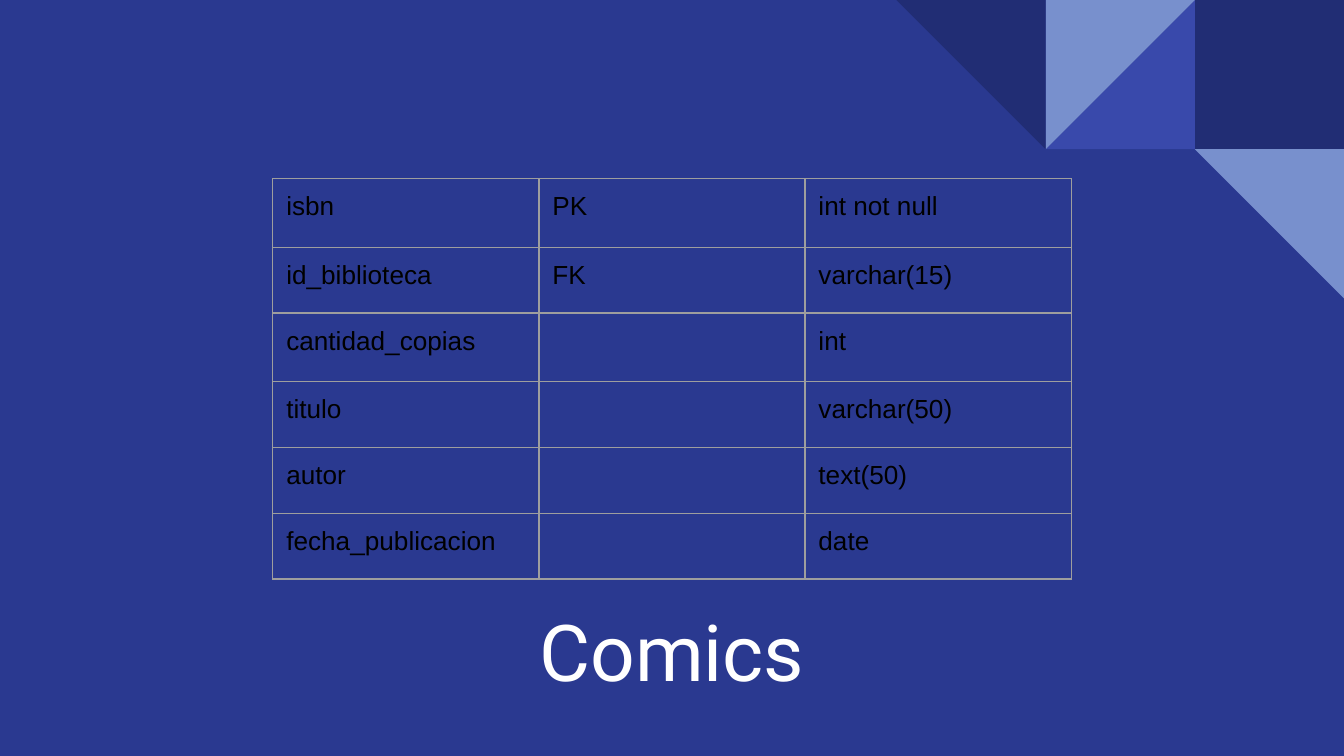
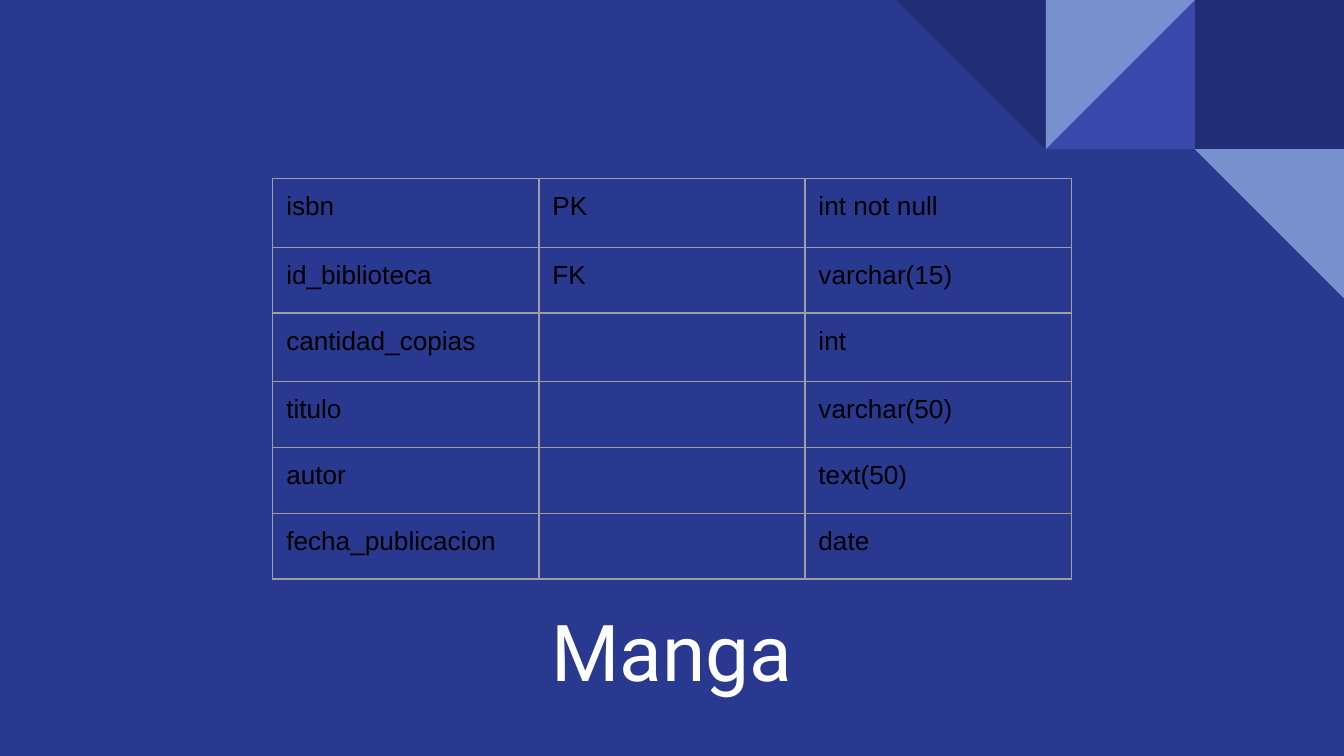
from lxml import etree
from pptx import Presentation
from pptx.dml.color import RGBColor
from pptx.enum.shapes import MSO_SHAPE
from pptx.enum.text import MSO_ANCHOR, PP_ALIGN
from pptx.oxml.ns import qn
from pptx.util import Inches, Pt

RECT, TRIANGLE = MSO_SHAPE.RECTANGLE, MSO_SHAPE.RIGHT_TRIANGLE
CENTER, MIDDLE = PP_ALIGN.CENTER, MSO_ANCHOR.MIDDLE

# Content
BOOK_FIELDS = [
    ("isbn", "PK", "int not null"),
    ("id_biblioteca", "FK", "varchar(15)"),
    ("cantidad_copias", "", "int"),
    ("titulo", "", "varchar(50)"),
    ("autor", "", "text(50)"),
    ("fecha_publicacion", "", "date"),
]
SLIDES = [("Comics", BOOK_FIELDS), ("Manga", BOOK_FIELDS)]

# Shared style
SLIDE_WIDTH = Inches(10)
SLIDE_HEIGHT = SLIDE_WIDTH * 9 // 16
BACKGROUND, NAVY, INDIGO, SKY = "2A3990", "212D74", "3949AB", "7890CD"
BORDER = "9E9E9E"
TITLE_FONT = {"name": "Roboto", "size": Pt(42), "color": "FFFFFF"}
CELL_FONT = {"name": "Arial", "size": Pt(14), "color": "000000"}
NO_TABLE_STYLE = "{2D5ABB26-0587-4C30-8999-92F81FD0307C}"

# Corner mosaic: column and row on a grid of tiles, shape, rotation, colour
TILE, MOSAIC_LEFT = 1.11, 6.67
MOSAIC = [
    (2, 0, RECT, 0, NAVY),
    (1, 0, TRIANGLE, 270, INDIGO),
    (1, 0, TRIANGLE, 90, SKY),
    (0, 0, TRIANGLE, 180, NAVY),
    (2, 1, TRIANGLE, 180, SKY),
]

TABLE_LEFT, TABLE_TOP, COLUMN_WIDTH = 2.03, 1.33, 1.98
ROW_HEIGHTS = [0.51, 0.49, 0.51, 0.49, 0.49, 0.49]
MARGINS = {f"margin_{side}": Inches(0.1) for side in ("left", "top", "right", "bottom")}


def rgb(color):
    return RGBColor.from_string(color)


def set_all(obj, values):
    for name, value in values.items():
        setattr(obj, name, value)


def write(p, text, font):
    r = p.add_run()
    r.text = text
    set_all(r.font, {k: v for k, v in font.items() if k != "color"})
    r.font.color.rgb = rgb(font["color"])


def add_mosaic(s):
    for col, row, kind, rotation, color in MOSAIC:
        sp = s.shapes.add_shape(kind, Inches(MOSAIC_LEFT + col * TILE), Inches(row * TILE),
                                Inches(TILE), Inches(TILE))
        sp.rotation = rotation
        sp.shadow.inherit = False
        sp.fill.solid()
        sp.fill.fore_color.rgb = rgb(color)
        sp.line.fill.background()


def add_title(s, text):
    tf = s.shapes.add_textbox(Inches(3.9), Inches(4.38), Inches(2.2), Inches(0.92)).text_frame
    set_all(tf, {"word_wrap": True, "vertical_anchor": MIDDLE, **MARGINS})
    p = tf.paragraphs[0]
    p.alignment = CENTER
    write(p, text, TITLE_FONT)


def add_borders(cell):
    tc_pr = cell._tc.get_or_add_tcPr()
    for side in ("a:lnL", "a:lnR", "a:lnT", "a:lnB"):
        ln = etree.SubElement(tc_pr, qn(side), w=str(Pt(0.75)))
        fill = etree.SubElement(ln, qn("a:solidFill"))
        etree.SubElement(fill, qn("a:srgbClr"), val=BORDER)


def add_field_table(s, fields):
    columns = len(fields[0])
    table = s.shapes.add_table(len(fields), columns, Inches(TABLE_LEFT), Inches(TABLE_TOP),
                               Inches(columns * COLUMN_WIDTH), Inches(sum(ROW_HEIGHTS))).table
    set_all(table, {"first_row": False, "horz_banding": False})
    table._tbl.tblPr.find(qn("a:tableStyleId")).text = NO_TABLE_STYLE
    for column in table.columns:
        column.width = Inches(COLUMN_WIDTH)
    for row, height, texts in zip(table.rows, ROW_HEIGHTS, fields):
        row.height = Inches(height)
        for cell, text in zip(row.cells, texts):
            set_all(cell, MARGINS)
            add_borders(cell)
            cell.fill.background()
            p = cell.text_frame.paragraphs[0]
            if text:
                write(p, text, CELL_FONT)
            else:
                # Keep empty cells from growing at the default text size
                etree.SubElement(p._p, qn("a:endParaRPr"), sz="1400")


def main():
    prs = Presentation()
    set_all(prs, {"slide_width": SLIDE_WIDTH, "slide_height": SLIDE_HEIGHT})
    for title, fields in SLIDES:
        s = prs.slides.add_slide(prs.slide_layouts[6])
        s.background.fill.solid()
        s.background.fill.fore_color.rgb = rgb(BACKGROUND)
        add_mosaic(s)
        add_title(s, title)
        add_field_table(s, fields)
    prs.save("out.pptx")


if __name__ == "__main__":
    main()
